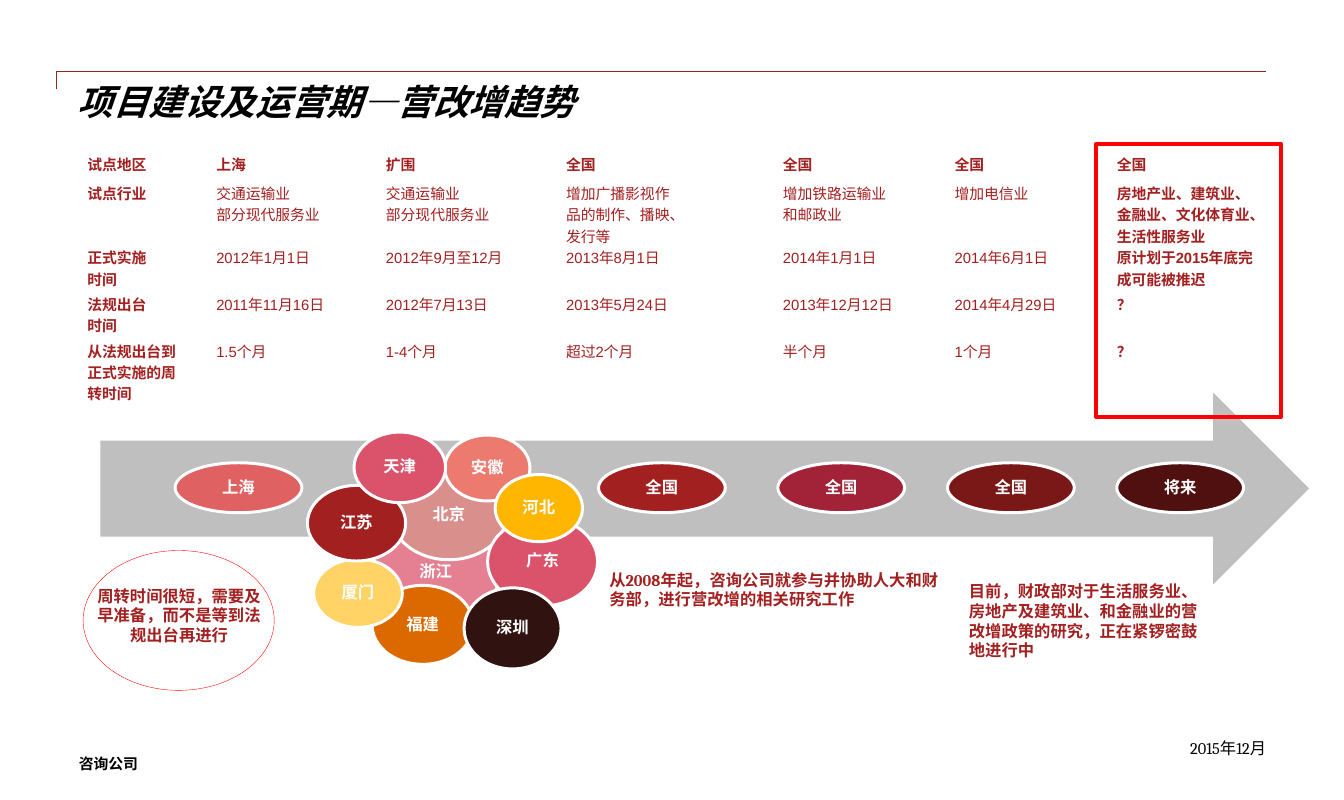
from pptx import Presentation
from pptx.dml.color import RGBColor
from pptx.enum.shapes import MSO_SHAPE
from pptx.enum.text import MSO_ANCHOR, PP_ALIGN
from pptx.util import Cm, Pt

OVAL, RECT, ARROW = MSO_SHAPE.OVAL, MSO_SHAPE.RECTANGLE, MSO_SHAPE.RIGHT_ARROW
LEFT, CENTER, RIGHT = PP_ALIGN.LEFT, PP_ALIGN.CENTER, PP_ALIGN.RIGHT
MIDDLE = MSO_ANCHOR.MIDDLE
NO_STYLE = "{2D5ABB26-0587-4C30-8999-92F81FD0307C}"
DARK_RED, RED, WHITE, BLACK, GREY = "A32020", "FF0000", "FFFFFF", "000000", "BFBFBF"

HEADER_LINE = [(1.35, 2.11), (1.35, 1.7), (30.15, 1.7)]
ARROW_BOX = (2.39, 9.35, 28.78, 4.57)
CALLOUT_OVAL = (1.98, 13.11, 4.55, 3.33)
HIGHLIGHT_BOX = (26.09, 3.43, 4.42, 6.5)

TABLE_POS = (1.75, 3.53)
COLS = [3.07, 4.04, 4.29, 5.16, 4.09, 3.86, 4.09]
ROWS = [0.66, 1.47, 1.07, 1.07, 1.47]
CELLS = [
    ["试点地区", "上海", "扩围", "全国", "全国", "全国", "全国"],
    ["试点行业", "交通运输业\n部分现代服务业", "交通运输业\n部分现代服务业",
     "增加广播影视作\n品的制作、播映、\n发行等", "增加铁路运输业\n和邮政业", "增加电信业",
     "房地产业、建筑业、金融业、文化体育业、生活性服务业"],
    ["正式实施\n时间", "2012年1月1日", "2012年9月至12月", "2013年8月1日",
     "2014年1月1日", "2014年6月1日", "原计划于2015年底完成可能被推迟"],
    ["法规出台\n时间", "2011年11月16日", "2012年7月13日", "2013年5月24日",
     "2013年12月12日", "2014年4月29日", "？"],
    ["从法规出台到正式实施的周转时间", "1.5个月", "1-4个月", "超过2个月",
     "半个月", "1个月", "？"],
]

PILL_TOP, PILL_W, PILL_H = 11.02, 3.02, 1.19
PILLS = [
    ("上海", 4.17, "E06161"),
    ("全国", 14.25, DARK_RED),
    ("全国", 18.52, "A22237"),
    ("全国", 22.56, "7A1818"),
    ("将来", 26.59, "511010"),
]
BUBBLES = [
    ("浙江", (8.84, 12.45, 3.07, 2.36), "E48091"),
    ("北京", (9.32, 11.2, 2.74, 2.13), "D9908C"),
    ("广东", (11.61, 12.32, 2.62, 2.11), "DB536A"),
    ("安徽", (10.59, 10.36, 2.03, 1.57), "EC7A6E"),
    ("河北", (11.79, 11.3, 2.08, 1.6), "FFB600"),
    ("福建", (8.86, 13.94, 2.41, 1.88), "DC6900"),
    ("厦门", (7.47, 13.31, 2.11, 1.63), "FFD366"),
    ("深圳", (11.05, 14, 2.31, 1.93), "301210"),
    ("江苏", (7.32, 11.56, 2.34, 1.8), DARK_RED),
    ("天津", (8.43, 10.29, 2.18, 1.68), "DB536A"),
]

NOTES = [
    ("目前，财政部对于生活服务业、房地产及建筑业、和金融业的营改增政策的研究，正在紧锣密鼓地进行中",
     (22.56, 13.34, 6.81, 2.9), LEFT),
    ("从2008年起，咨询公司就参与并协助人大和财务部，进行营改增的相关研究工作",
     (14, 13.11, 9.07, 1.96), LEFT),
    ("周转时间很短，需要及早准备，而不是等到法规出台再进行",
     (1.75, 13.44, 5.03, 2.41), CENTER),
]


def color(hex_string):
    return RGBColor.from_string(hex_string)


def style(p, size, font, hex_color, bold=False, italic=False, align=LEFT):
    p.alignment = align
    f = p.font
    f.size, f.name, f.bold, f.italic = Pt(size), font, bold, italic
    f.color.rgb = color(hex_color)


def set_margins(target, horizontal, vertical):
    target.margin_left = target.margin_right = Cm(horizontal)
    target.margin_top = target.margin_bottom = Cm(vertical)


def paint(sp, fill=None, line=None, width=1):
    sp.shadow.inherit = False
    if fill:
        sp.fill.solid()
        sp.fill.fore_color.rgb = color(fill)
    else:
        sp.fill.background()
    if line:
        sp.line.color.rgb = color(line)
        sp.line.width = Pt(width)
    else:
        sp.line.fill.background()


def add_shape(s, kind, box, fill=None, line=None, width=1):
    sp = s.shapes.add_shape(kind, *map(Cm, box))
    paint(sp, fill, line, width)
    return sp


def add_oval(s, text, box, fill):
    tf = add_shape(s, OVAL, box, fill, WHITE, 2).text_frame
    set_margins(tf, 0, 0)
    tf.word_wrap = False
    tf.vertical_anchor = MIDDLE
    p = tf.paragraphs[0]
    p.text = text
    p.line_spacing = 0.9
    style(p, 11, "Cambria", WHITE, bold=True, align=CENTER)


def add_text(s, text, box, inset, *font, **options):
    tf = s.shapes.add_textbox(*map(Cm, box)).text_frame
    tf.word_wrap = True
    set_margins(tf, inset, inset)
    p = tf.paragraphs[0]
    p.text = text
    style(p, *font, **options)


def add_pilot_table(s):
    frame = s.shapes.add_table(len(ROWS), len(COLS), *map(Cm, TABLE_POS),
                               Cm(sum(COLS)), Cm(sum(ROWS)))
    table = frame.table
    table.first_row = table.horz_banding = False
    table._tbl.tblPr[0].text = NO_STYLE
    for column, width in zip(table.columns, COLS):
        column.width = Cm(width)
    for i, (row, height) in enumerate(zip(table.rows, ROWS)):
        row.height = Cm(height)
        for j, cell in enumerate(row.cells):
            cell.text = CELLS[i][j]
            cell.fill.background()
            set_margins(cell, 0.33, 0.13)
            bold = i == 0 or j in (0, len(COLS) - 1)
            for p in cell.text_frame.paragraphs:
                style(p, 10, "Arial", DARK_RED, bold=bold)


def main():
    """Build the slide on the VAT reform trend and save it."""
    prs = Presentation()
    prs.slide_width, prs.slide_height = Cm(32), Cm(19.05)
    s = prs.slides.add_slide(prs.slide_layouts[6])

    points = [(Cm(x), Cm(y)) for x, y in HEADER_LINE]
    outline = s.shapes.build_freeform(*points[0])
    outline.add_line_segments(points[1:], close=False)
    paint(outline.convert_to_shape(), line=DARK_RED)

    add_text(s, "咨询公司", (1.88, 17.98, 9.07, 0.43), 0, 10, "Arial", BLACK, bold=True)
    add_text(s, "项目建设及运营期—营改增趋势", (1.85, 1.9, 28.27, 1.42), 0,
             24, "Cambria", BLACK, bold=True, italic=True)

    add_shape(s, ARROW, ARROW_BOX, GREY)
    for text, left, fill in PILLS:
        add_oval(s, text, (left, PILL_TOP, PILL_W, PILL_H), fill)
    for text, box, fill in BUBBLES:
        add_oval(s, text, box, fill)

    add_pilot_table(s)
    for text, box, align in NOTES:
        add_text(s, text, box, 0.51, 11, "Cambria", DARK_RED, bold=True, align=align)
    add_shape(s, OVAL, CALLOUT_OVAL, line=RED, width=0.25)
    add_text(s, "2015年12月", (24.82, 17.58, 5.33, 0.43), 0,
             11, "Cambria", BLACK, align=RIGHT)
    add_shape(s, RECT, HIGHLIGHT_BOX, line=RED, width=2.5)

    prs.save("out.pptx")


if __name__ == "__main__":
    main()
